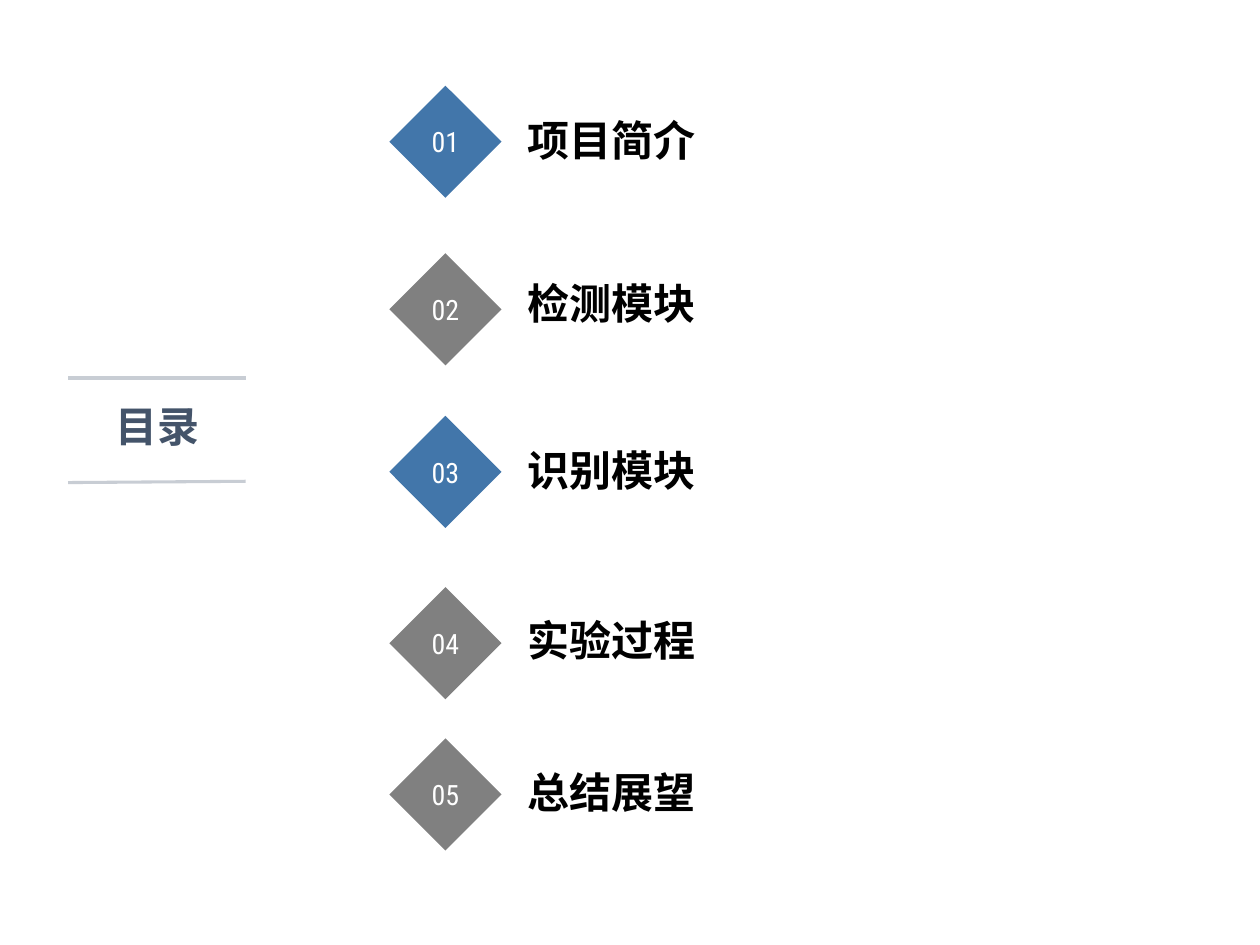
from pptx import Presentation
from pptx.dml.color import RGBColor
from pptx.enum.shapes import MSO_CONNECTOR, MSO_SHAPE
from pptx.enum.text import MSO_ANCHOR, MSO_AUTO_SIZE, PP_ALIGN
from pptx.oxml.ns import qn
from pptx.util import Inches, Pt
from lxml.etree import SubElement

BLUE, GRAY = "4276AA", "808080"
CJK_FONT = "Noto Sans CJK SC"
TITLE = "目录"
RULES = [((1.95, 3), (0.54, 3)), ((0.54, 3.83), (1.95, 3.82))]
DIAMOND_LEFT, DIAMOND_SIZE = 3.09, 0.89
LABEL_LEFT, LABEL_WIDTH, LABEL_HEIGHT = 4.09, 1.92, 0.52
SECTIONS = [
    ("项目简介", BLUE, 0.68, 1.34),
    ("检测模块", GRAY, 2.01, 2.63),
    ("识别模块", BLUE, 3.3, 3.96),
    ("实验过程", GRAY, 4.66, 5.31),
    ("总结展望", GRAY, 5.86, 6.51),
]


def color(value):
    return RGBColor.from_string(value)


def write(frame, text, size, font_name, text_color, bold=False, align=PP_ALIGN.LEFT):
    frame.text = text
    paragraph = frame.paragraphs[0]
    paragraph.alignment = align
    font = paragraph.font
    font.size, font.name, font.bold = Pt(size), font_name, bold
    font.color.rgb = color(text_color)
    if bold:
        run_properties = paragraph.runs[0].font._element
        SubElement(run_properties, qn("a:ea")).set("typeface", CJK_FONT)
    return paragraph


def add_title(slide):
    title = slide.shapes.title
    title.left, title.top = Inches(0.16), Inches(3.17)
    title.width, title.height = Inches(2.18), Inches(0.58)
    frame = title.text_frame
    frame.auto_size = MSO_AUTO_SIZE.NONE
    frame.vertical_anchor = MSO_ANCHOR.TOP
    paragraph = write(frame, TITLE, 24, "Calibri", "44546A", True, PP_ALIGN.CENTER)
    paragraph.line_spacing = 0.9


def add_rule(slide, start, end):
    points = [Inches(value) for value in start + end]
    rule = slide.shapes.add_connector(MSO_CONNECTOR.STRAIGHT, *points)
    rule.line.color.rgb = color("C8CDD4")
    rule.line.width = Pt(1.75)
    SubElement(rule._element.spPr, qn("a:effectLst"))


def add_section(slide, number, label, fill, top, label_bottom):
    diamond = slide.shapes.add_shape(
        MSO_SHAPE.DIAMOND, Inches(DIAMOND_LEFT), Inches(top),
        Inches(DIAMOND_SIZE), Inches(DIAMOND_SIZE))
    diamond.shadow.inherit = False
    diamond.fill.solid()
    diamond.fill.fore_color.rgb = color(fill)
    diamond.line.fill.background()
    frame = diamond.text_frame
    frame.word_wrap = False
    frame.vertical_anchor = MSO_ANCHOR.MIDDLE
    write(frame, f"{number:02}", 16, "Roboto Condensed", "FFFFFF", align=PP_ALIGN.CENTER)

    box = slide.shapes.add_textbox(
        Inches(LABEL_LEFT), Inches(label_bottom - LABEL_HEIGHT),
        Inches(LABEL_WIDTH), Inches(LABEL_HEIGHT))
    frame = box.text_frame
    frame.word_wrap = True
    frame.vertical_anchor = MSO_ANCHOR.BOTTOM
    frame.margin_top = frame.margin_bottom = Inches(0.03)
    write(frame, label, 24, CJK_FONT, "000000", True)


def main():
    presentation = Presentation()
    presentation.slide_width, presentation.slide_height = Inches(10), Inches(7.5)
    slide = presentation.slides.add_slide(presentation.slide_layouts[5])
    add_title(slide)
    for start, end in RULES:
        add_rule(slide, start, end)
    for number, section in enumerate(SECTIONS, 1):
        add_section(slide, number, *section)
    presentation.save("out.pptx")


if __name__ == "__main__":
    main()
